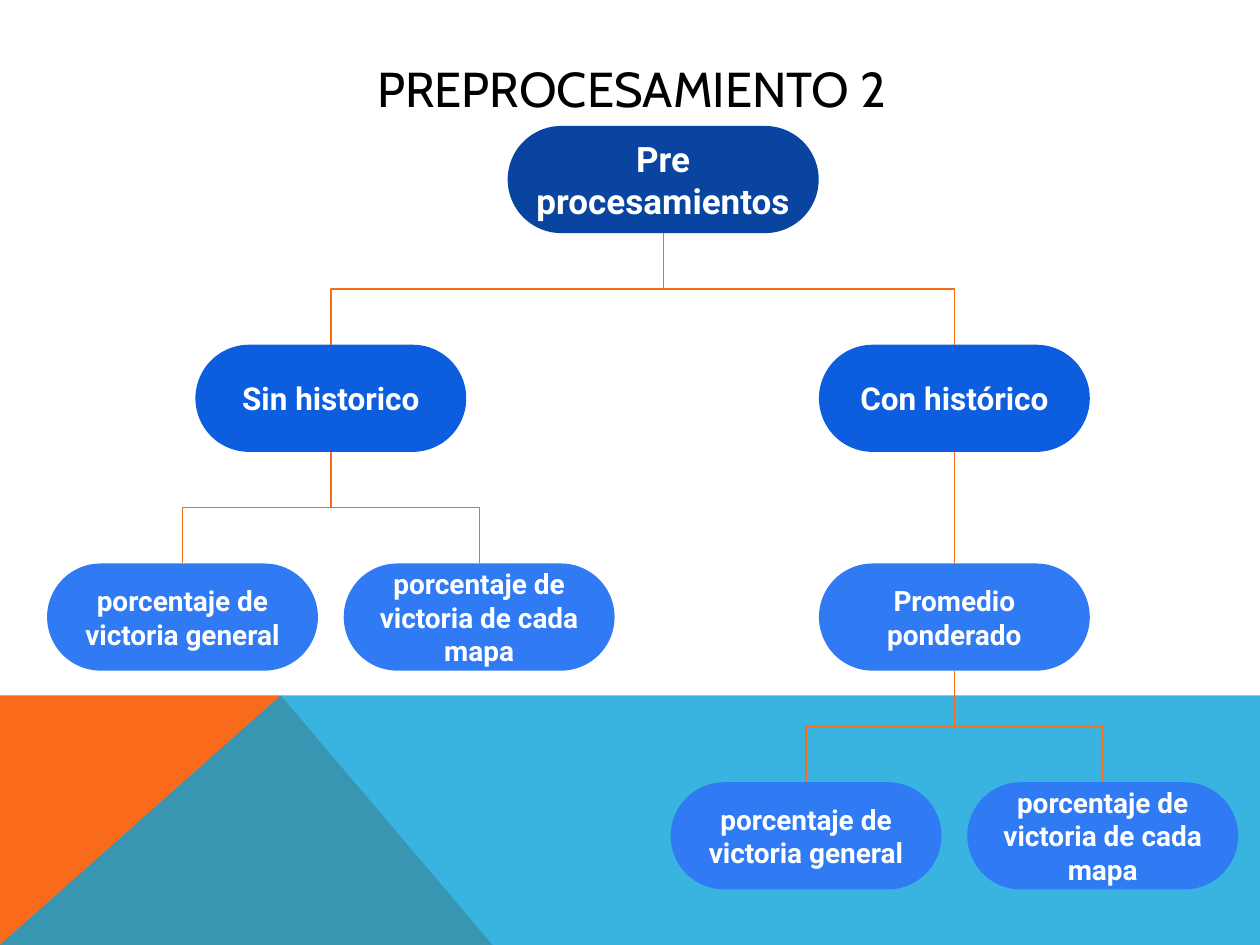
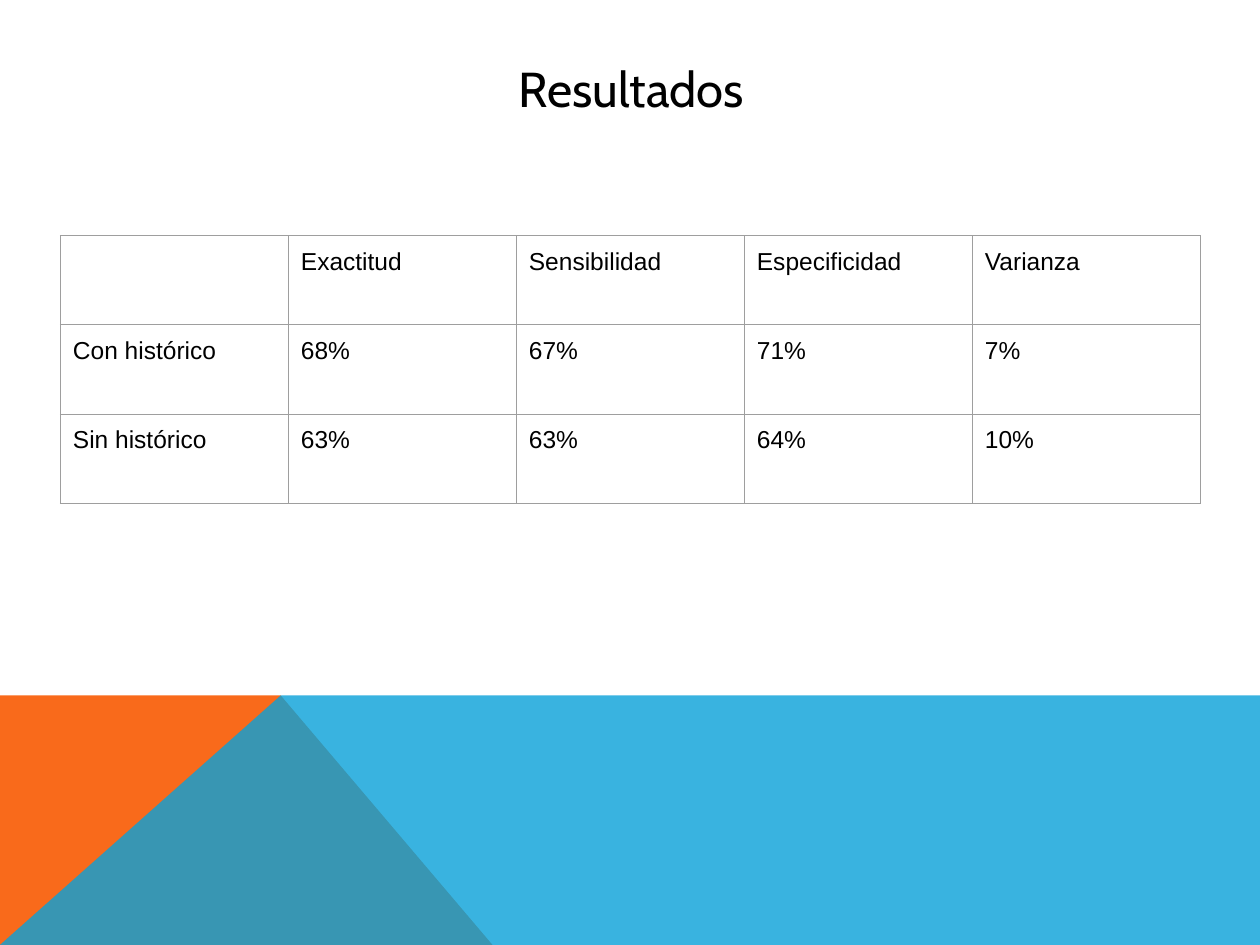
from dataclasses import dataclass

from lxml.etree import SubElement
from pptx import Presentation
from pptx.dml.color import RGBColor
from pptx.enum.shapes import MSO_CONNECTOR as Link, MSO_SHAPE as Preset
from pptx.enum.text import MSO_ANCHOR as Anchor, PP_ALIGN as Align
from pptx.oxml import parse_xml
from pptx.oxml.ns import nsdecls, qn
from pptx.util import Cm, Pt

# Shared look
WHITE = RGBColor(0xFF, 0xFF, 0xFF)
BLACK = RGBColor(0x00, 0x00, 0x00)
ORANGE = RGBColor(0xF9, 0x6A, 0x1B)
SKY = RGBColor(0x08, 0xA1, 0xD9)
GRID_GREY = RGBColor(0x9E, 0x9E, 0x9E)
LEVEL_BLUES = [RGBColor(0x09, 0x44, 0xA1), RGBColor(0x0D, 0x5D, 0xDF),
               RGBColor(0x30, 0x7B, 0xF3), RGBColor(0x30, 0x7B, 0xF3)]
LEVEL_SIZES = [20, 18, 16, 16]
TITLE_FONT, TREE_FONT, TABLE_FONT = "Cabin", "Roboto", "Arial"
HAIRLINE = Pt(0.75)
INSET = Cm(0.25)

SLIDE_W, SLIDE_H = Cm(25.4), Cm(19.05)


@dataclass
class Box:
    left: int
    top: int
    width: int
    height: int


TITLE_BOX = Box(Cm(2.29), Cm(1.02), Cm(20.88), Cm(1.52))
BAND_BOX = Box(Cm(0), Cm(14.02), SLIDE_W, Cm(5.03))
TREE_BOX = Box(Cm(0.94), Cm(2.54), Cm(24.05), Cm(15.39))
RESULTS_BOX = Box(Cm(1.22), Cm(4.75), Cm(22.98), Cm(5.4))


# Content
@dataclass
class Node:
    label: str
    shift: float = 0  # cm from the parent's centre
    children: tuple = ()


WIN_RATES = (Node("porcentaje de victoria general", -2.99),
             Node("porcentaje de victoria de cada mapa", 2.99))
PREPROCESSING = Node("Pre procesamientos", children=(
    Node("Sin historico", -6.7, WIN_RATES),
    Node("Con histórico", 5.87, (Node("Promedio ponderado", 0, WIN_RATES),)),
))
RESULTS = [
    ["", "Exactitud", "Sensibilidad", "Especificidad", "Varianza"],
    ["Con histórico", "68%", "67%", "71%", "7%"],
    ["Sin histórico", "63%", "63%", "64%", "10%"],
]


def write(frame, text, font, size, color, bold=False, align=Align.LEFT):
    paragraph = frame.paragraphs[0]
    paragraph.alignment = align
    run = paragraph.add_run()
    run.text = text
    run.font.name = font
    run.font.size = Pt(size)
    run.font.bold = bold
    run.font.color.rgb = color


# Bottom bands, held by the layout
def add_band(shapes, corners, color, opacity=100):
    pen = shapes.build_freeform(*corners[0])
    pen.add_line_segments(corners[1:], close=True)
    band = pen.convert_to_shape()
    band.shadow.inherit = False
    band.fill.solid()
    band.fill.fore_color.rgb = color
    band.line.fill.background()
    if opacity < 100:
        tint = band.element.spPr.find(qn("a:solidFill"))[0]
        SubElement(tint, qn("a:alpha"), val=str(opacity * 1000))
    return band


def draw_bands(slide, layout, box):
    right, bottom = box.left + box.width, box.top + box.height
    peak = (box.left + Cm(5.66), box.top)
    low_left = (box.left, bottom)
    bands = [
        add_band(slide.shapes, [low_left, (box.left, box.top), peak,
                                (box.left + Cm(9.93), bottom)], ORANGE),
        add_band(slide.shapes, [low_left, peak, (right, box.top),
                                (right, bottom)], SKY, 80),
    ]
    for place, band in enumerate(bands, start=2):
        layout.shapes.element.insert(place, band.element)


def set_title(slide, text, box):
    title = slide.shapes.title
    title.left, title.top = box.left, box.top
    title.width, title.height = box.width, box.height
    title.text_frame.vertical_anchor = Anchor.MIDDLE
    write(title.text_frame, text, TITLE_FONT, 28, BLACK, align=Align.CENTER)


# Tree of preprocessing steps
def add_pill(shapes, label, level, center, top):
    width = Cm(5.46) if level else Cm(6.27)
    pill = shapes.add_shape(Preset.ROUNDED_RECTANGLE, center - width // 2, top,
                            width, Cm(2.16))
    pill.adjustments[0] = 0.5
    pill.shadow.inherit = False
    pill.fill.solid()
    pill.fill.fore_color.rgb = LEVEL_BLUES[level]
    pill.line.fill.background()
    frame = pill.text_frame
    frame.word_wrap = True
    frame.vertical_anchor = Anchor.MIDDLE
    frame.margin_left = frame.margin_right = INSET
    frame.margin_top = frame.margin_bottom = INSET
    write(frame, label, TREE_FONT, LEVEL_SIZES[level], WHITE, True, Align.CENTER)
    return pill


def add_branch(shapes, parent, child):
    start_x, end_x = (pill.left + pill.width // 2 for pill in (parent, child))
    start_y, end_y = parent.top + parent.height, child.top
    run, drop = end_x - start_x, end_y - start_y
    branch = shapes.add_connector(Link.ELBOW if run else Link.STRAIGHT,
                                  start_x, start_y, end_x, end_y)
    branch.begin_connect(parent, 2)
    branch.end_connect(child, 0)
    branch.line.color.rgb = ORANGE
    branch.line.width = HAIRLINE
    SubElement(branch.element.spPr, qn("a:effectLst"))
    if run:
        # A quarter turn makes the elbow leave and arrive vertically
        branch.left = (start_x + end_x - drop) // 2
        branch.top = (start_y + end_y - abs(run)) // 2
        branch.width, branch.height = drop, abs(run)
        turn = branch.element.spPr.find(qn("a:xfrm"))
        turn.attrib.pop("flipH", None)
        turn.set("rot", "16200000" if run > 0 else "5400000")
        if run > 0:
            turn.set("flipH", "1")


def draw_tree(shapes, node, box, center, level=0):
    pill = add_pill(shapes, node.label, level, center,
                    box.top + level * Cm(4.41))
    for child in node.children:
        child_pill = draw_tree(shapes, child, box, center + Cm(child.shift),
                               level + 1)
        add_branch(shapes, pill, child_pill)
    return pill


# Results table
def format_cell(cell, text):
    cell.margin_left = cell.margin_right = INSET
    cell.margin_top = cell.margin_bottom = INSET
    cell.fill.background()
    if text:
        write(cell.text_frame, text, TABLE_FONT, 14, BLACK)
    properties = cell._tc.get_or_add_tcPr()
    for place, side in enumerate("LRTB"):
        properties.insert(place, parse_xml(
            f'<a:ln{side} {nsdecls("a")} w="{HAIRLINE}"><a:solidFill>'
            f'<a:srgbClr val="{GRID_GREY}"/></a:solidFill></a:ln{side}>'))


def draw_results(slide, rows, box):
    table = slide.shapes.add_table(len(rows), len(rows[0]), box.left, box.top,
                                   box.width, box.height).table
    table.first_row = table.horz_banding = False
    for row, values in enumerate(rows):
        for column, value in enumerate(values):
            format_cell(table.cell(row, column), value)


def main():
    prs = Presentation()
    prs.slide_width, prs.slide_height = SLIDE_W, SLIDE_H
    title_only = prs.slide_layouts[5]

    steps = prs.slides.add_slide(title_only)
    draw_bands(steps, title_only, BAND_BOX)
    set_title(steps, "PREPROCESAMIENTO 2", TITLE_BOX)
    draw_tree(steps.shapes, PREPROCESSING, TREE_BOX, TREE_BOX.left + Cm(12.43))

    results = prs.slides.add_slide(title_only)
    set_title(results, "Resultados", TITLE_BOX)
    draw_results(results, RESULTS, RESULTS_BOX)

    prs.save("out.pptx")


if __name__ == "__main__":
    main()
